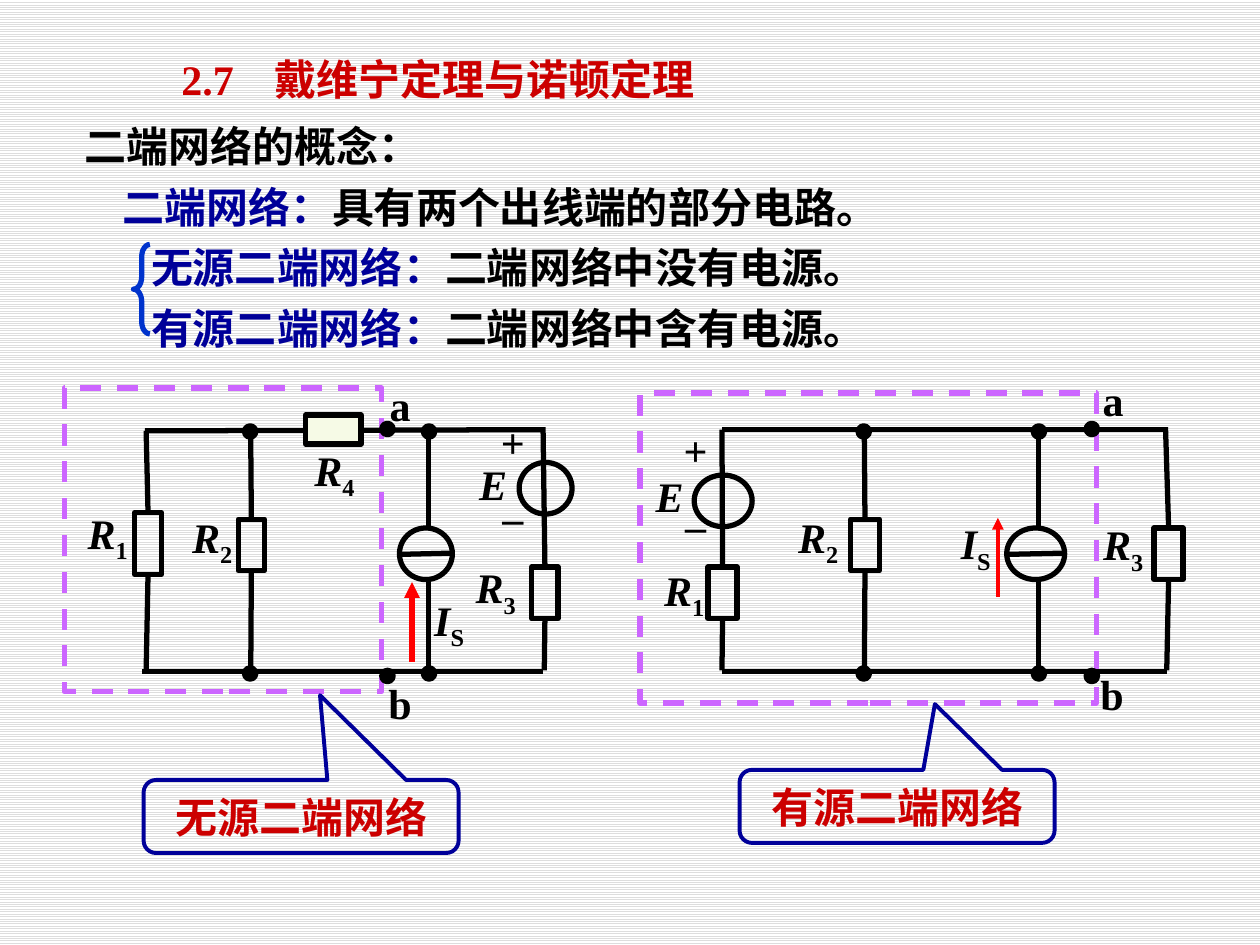
import dataclasses

import pptx
import pptx.dml.color
import pptx.enum.dml
import pptx.enum.shapes
import pptx.enum.text
import pptx.oxml.ns
import pptx.util
from lxml import etree

RGBColor = pptx.dml.color.RGBColor
BLACK = RGBColor(0x00, 0x00, 0x00)
WHITE = RGBColor(0xFF, 0xFF, 0xFF)
STRIPE = RGBColor(0xDD, 0xDD, 0xDD)
CRIMSON = RGBColor(0xCC, 0x00, 0x00)
NAVY = RGBColor(0x00, 0x00, 0x99)
BRACE_BLUE = RGBColor(0x00, 0x33, 0xCC)
RED = RGBColor(0xFF, 0x00, 0x00)
VIOLET = RGBColor(0xCC, 0x66, 0xFF)
CREAM = RGBColor(0xF6, 0xFA, 0xE6)

SHAPE = pptx.enum.shapes.MSO_SHAPE
ANCHOR = pptx.enum.text.MSO_ANCHOR
ALIGN = pptx.enum.text.PP_ALIGN
DASH = pptx.enum.dml.MSO_LINE.DASH

PASSIVE = {
    "frame": (5.1, 30.8, 25.2, 24.1),
    "rails": [(11.5, 34.2, 43.1, 34.1), (11.3, 53.3, 43.1, 53.3)],
    "resistors": [
        ((10.7, 40.7, 2.1, 4.9), (11.6, 34.2), (11.6, 53.2)),
        ((18.9, 41.2, 2.1, 4.1), (19.9, 34.7), (19.9, 53.8)),
        ((42.2, 45, 2.1, 4.1), (43.1, 33.9), (43.2, 53.2)),
    ],
    "branches": [(34, 41.9, 34, 34.4), (34, 46, 34, 53.8), (31.7, 44, 35.9, 43.9)],
    "sources": [(31.7, 41.9, 4.2, 4.1), (41.2, 36.7, 4.2, 4.1)],
    "nodes": [(x, y) for x in (19.4, 33.6) for y in (33.8, 53)] + [(30.3, 33.6), (30.3, 53.2)],
    "current": ((32.7, 52.5, 32.7, 46.2), 3),
    "labels": [
        ("a", "", 31.75, 29.6), ("b", "", 31.75, 53.2), ("E", "", 39.15, 35.8),
        ("R", "1", 8.55, 40), ("R", "2", 16.85, 40.3), ("R", "3", 39.35, 44.3),
        ("R", "4", 26.55, 35), ("I", "S", 35.65, 46.9),
    ],
    "polarity": (40.7, 32.5),
    "callout": ("无源二端网络", (11.4, 61.9, 25, 5.8), (0.06, -1.66, 0.17)),
}
ACTIVE = {
    "frame": (50.8, 31.2, 36.2, 24.6),
    "rails": [(57.3, 34.1, 92.6, 34.1), (57.3, 53.3, 92.6, 53.3)],
    "resistors": [
        ((56.2, 45, 2.3, 4.1), (57.3, 34.1), (57.3, 53.2)),
        ((67.5, 41.2, 2.3, 4.1), (68.6, 34.7), (68.6, 53.8)),
        ((91.6, 41.9, 2.3, 4.1), (92.5, 33.9), (92.6, 53.2)),
    ],
    "branches": [(82.4, 41.9, 82.4, 34.4), (82.4, 46, 82.4, 53.8), (79.9, 44, 84.5, 43.9)],
    "sources": [(79.9, 41.9, 4.6, 4.1), (55.1, 37.7, 4.6, 4.1)],
    "nodes": [(x, y) for x in (68.1, 82) for y in (33.8, 53)] + [(86.2, 33.6), (86.2, 53.2)],
    "current": ((79.2, 47.4, 79.2, 41.1), 2.25),
    "labels": [
        ("a", "", 88.35, 29.2), ("b", "", 88.25, 52.5), ("E", "", 53.15, 36.8),
        ("R", "1", 54.3, 44.5), ("R", "2", 64.95, 40.3), ("R", "3", 89.15, 40.9),
        ("I", "S", 77.45, 40.8),
    ],
    "polarity": (55.2, 33.1),
    "callout": ("有源二端网络", (58.7, 61.1, 25, 5.8), (0.12, -1.4, 0.17)),
}


def assign(target, values):
    for attribute, value in values.items():
        setattr(target, attribute, value)


@dataclasses.dataclass
class CircuitSlide:
    """Draws text and circuit parts on a grid of 100 columns by 75 rows."""

    slide: object
    cell: int
    font: dict

    def grid(self, *cells):
        return [round(self.cell * count) for count in cells]

    def add_runs(self, paragraph, runs):
        for text, color, formats in runs:
            run = paragraph.add_run()
            run.text = text
            assign(run.font, {**self.font, **formats})
            run.font.color.rgb = color

    def text(self, box, paragraphs, frame_format, paragraph_format):
        frame = self.slide.shapes.add_textbox(*self.grid(*box)).text_frame
        assign(frame, frame_format)
        for index, runs in enumerate(paragraphs):
            paragraph = frame.add_paragraph() if index else frame.paragraphs[0]
            assign(paragraph, paragraph_format)
            if not index:
                paragraph.space_before = pptx.util.Pt(0)
            self.add_runs(paragraph, runs)
        return frame

    def indent(self, paragraph, columns):
        paragraph._p.get_or_add_pPr().set("marL", str(self.grid(columns)[0]))

    def tab_stop(self, paragraph, columns):
        stops = etree.SubElement(paragraph._p.get_or_add_pPr(), pptx.oxml.ns.qn("a:tabLst"))
        stop = etree.SubElement(stops, pptx.oxml.ns.qn("a:tab"))
        stop.set("pos", str(self.grid(columns)[0]))
        stop.set("algn", "l")

    def label(self, center, top, paragraphs, height=5.1):
        return self.text((center - 4, top, 8, height), paragraphs,
                         {"word_wrap": False, "vertical_anchor": ANCHOR.MIDDLE},
                         {"alignment": ALIGN.CENTER, "space_before": pptx.util.Pt(14)})

    def symbol(self, letter, subscript, center, top):
        runs = [(letter, BLACK, {"italic": letter.isupper()})]
        if subscript:
            runs.append((subscript, BLACK, {}))
        frame = self.label(center, top, [runs])
        for run in frame.paragraphs[0].runs[1:]:
            run._r.get_or_add_rPr().set("baseline", "-25000")

    def shape(self, kind, box, line=BLACK, width=3, fill=None, dash=None, adjust=()):
        shape = self.slide.shapes.add_shape(kind, *self.grid(*box))
        shape.shadow.inherit = False
        if fill is None:
            shape.fill.background()
        else:
            shape.fill.solid()
            shape.fill.fore_color.rgb = fill
        shape.line.color.rgb = line
        assign(shape.line, {"width": pptx.util.Pt(width), "dash_style": dash})
        for index, value in enumerate(adjust):
            shape.adjustments[index] = value
        return shape

    def wire(self, points, color=BLACK, width=3, arrow=False):
        wire = self.slide.shapes.add_connector(
            pptx.enum.shapes.MSO_CONNECTOR.STRAIGHT, *self.grid(*points))
        wire.line.color.rgb = color
        wire.line.width = pptx.util.Pt(width)
        if arrow:
            head = etree.SubElement(wire.line._get_or_add_ln(), pptx.oxml.ns.qn("a:tailEnd"))
            head.set("type", "triangle")
        etree.SubElement(wire._element.spPr, pptx.oxml.ns.qn("a:effectLst"))
        return wire

    def resistor(self, box, upper, lower):
        resistor = self.shape(SHAPE.RECTANGLE, box)
        for side, end in ((0, upper), (2, lower)):
            self.wire((*end, *end)).begin_connect(resistor, side)

    def callout(self, text, box, adjust):
        callout = self.shape(SHAPE.ROUNDED_RECTANGULAR_CALLOUT, box, NAVY, 2.25, adjust=adjust)
        assign(callout.text_frame, {"word_wrap": False, "vertical_anchor": ANCHOR.MIDDLE})
        paragraph = callout.text_frame.paragraphs[0]
        paragraph.alignment = ALIGN.CENTER
        self.add_runs(paragraph, [(text, CRIMSON, {})])

    def circuit(self, parts):
        self.shape(SHAPE.RECTANGLE, parts["frame"], VIOLET, dash=DASH)
        for points in parts["rails"] + parts["branches"]:
            self.wire(points)
        for resistor in parts["resistors"]:
            self.resistor(*resistor)
        for box in parts["sources"]:
            self.shape(SHAPE.OVAL, box)
        for node in parts["nodes"]:
            self.shape(SHAPE.OVAL, (*node, 0.9, 0.9), fill=BLACK)
        points, width = parts["current"]
        self.wire(points, RED, width, arrow=True)
        for label in parts["labels"]:
            self.symbol(*label)
        self.label(*parts["polarity"], [[("+", BLACK, {})], [("–", BLACK, {})]], 11.1)
        self.callout(*parts["callout"])


def main():
    deck = pptx.Presentation()
    assign(deck, {"slide_width": pptx.util.Inches(10), "slide_height": pptx.util.Inches(7.5)})
    slide = deck.slides.add_slide(deck.slide_layouts[6])
    background = slide.background.fill
    background.patterned()
    background.pattern = pptx.enum.dml.MSO_PATTERN.LIGHT_HORIZONTAL
    background.fore_color.rgb = STRIPE
    background.back_color.rgb = WHITE
    page = CircuitSlide(slide, deck.slide_width // 100,
                        {"name": "Times New Roman", "size": pptx.util.Pt(24), "bold": True})

    title = page.text((13.4, 3.9, 63.2, 4.8), [[("2.7\t戴维宁定理与诺顿定理", CRIMSON, {})]],
                      {"word_wrap": True, "vertical_anchor": ANCHOR.BOTTOM}, {})
    page.tab_stop(title.paragraphs[0], 7.4)

    definitions = [
        (0, "", "二端网络的概念："),
        (3, "二端网络：", "具有两个出线端的部分电路。"),
        (5.3, "无源二端网络：", "二端网络中没有电源。"),
        (5.3, "有源二端网络：", "二端网络中含有电源。"),
    ]
    lines = [[(text, color, {}) for text, color in ((term, NAVY), (meaning, BLACK)) if text]
             for _, term, meaning in definitions]
    body = page.text((5.7, 8.3, 85.2, 20.4), lines, {"word_wrap": True}, {"line_spacing": 1.2})
    for paragraph, (columns, _, _) in zip(body.paragraphs, definitions):
        page.indent(paragraph, columns)
    page.shape(SHAPE.LEFT_BRACE, (10.6, 19.4, 1.3, 7.1), BRACE_BLUE, adjust=(0.75, 0.5))

    for parts in (PASSIVE, ACTIVE):
        page.circuit(parts)
    page.shape(SHAPE.RECTANGLE, (24.25, 32.95, 4.4, 2.3), fill=CREAM)
    deck.save("out.pptx")


if __name__ == "__main__":
    main()
